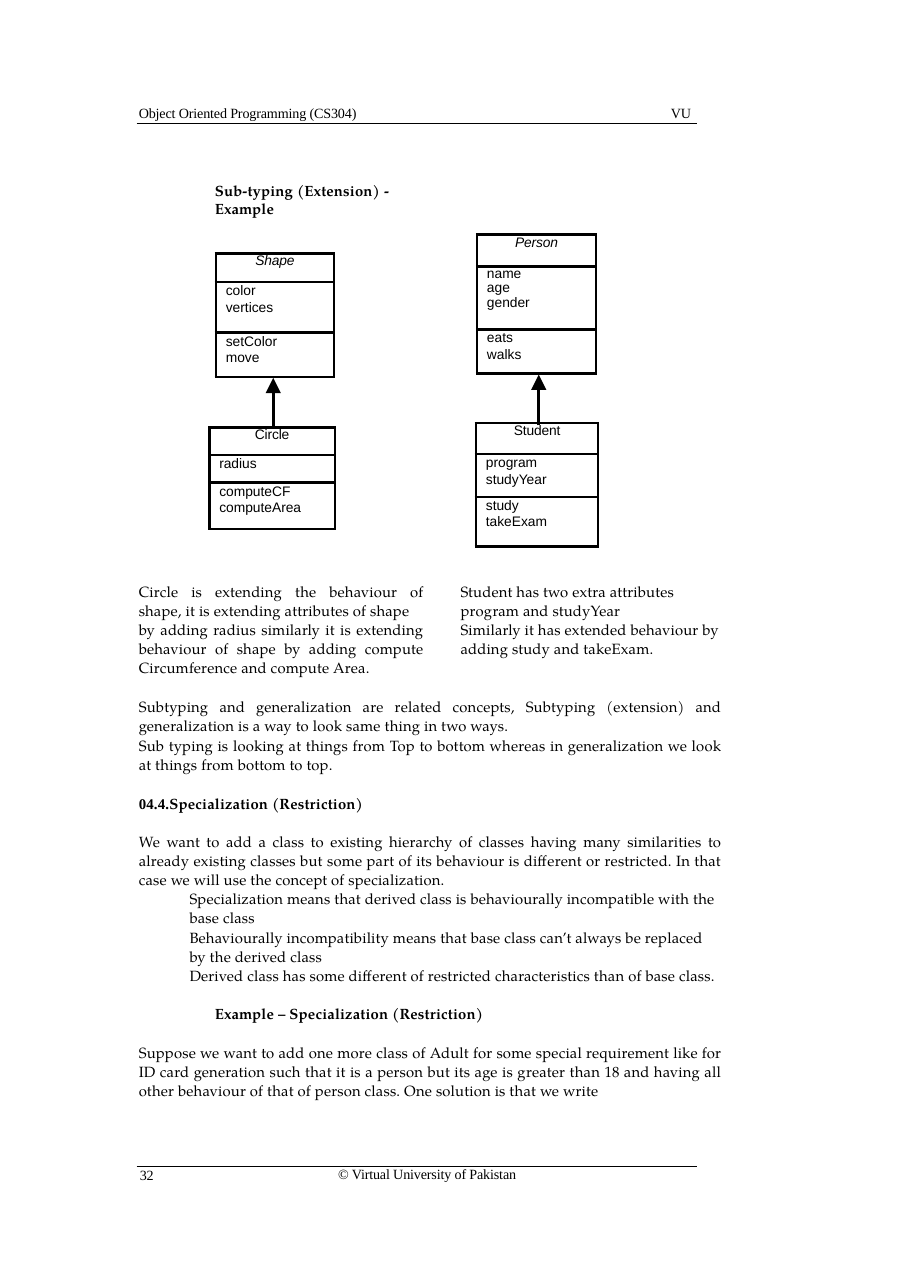
from dataclasses import dataclass

from lxml import etree
from pptx import Presentation
from pptx.dml.color import RGBColor
from pptx.enum.shapes import MSO_CONNECTOR
from pptx.enum.text import PP_ALIGN
from pptx.oxml.ns import qn
from pptx.util import Inches, Pt

STRAIGHT = MSO_CONNECTOR.STRAIGHT
LEFT, CENTER, JUSTIFY = PP_ALIGN.LEFT, PP_ALIGN.CENTER, PP_ALIGN.JUSTIFY
SERIF, BOOK, SANS = "Times New Roman", "TeX Gyre Pagella", "Arial"
BLACK = "000000"
RULE_WIDTH, BOX_WIDTH = 0.66, 1.88


@dataclass
class Para:
    """A paragraph of text with its typography."""
    text: str
    number: str = ""
    font: str = BOOK
    size: float = 9.7
    tracking: float = 0.1
    bold: bool = False
    italic: bool = False
    align: PP_ALIGN = JUSTIFY
    indent: float = 0.01
    before: float = 0
    leading: float = 1.07


def color(code):
    """Turn a hex string into a colour."""
    return RGBColor.from_string(code)


def add_run(paragraph, text, font, style):
    """Append one styled run."""
    run = paragraph.add_run()
    run.text = text
    run.font.name = font
    run.font.size = Pt(style.size)
    run.font.bold = style.bold
    run.font.italic = style.italic
    run.font.color.rgb = color(BLACK)
    run.font._element.set("spc", str(round(style.tracking * 100)))


def write(frame, paras):
    """Fill a text frame with paragraphs."""
    for index, para in enumerate(paras):
        paragraph = frame.add_paragraph() if index else frame.paragraphs[0]
        paragraph.alignment = para.align
        paragraph.line_spacing = para.leading
        paragraph.space_before = Pt(para.before)
        properties = paragraph._p.get_or_add_pPr()
        properties.set("marL", str(Inches(para.indent)))
        properties.set("indent", "0")
        if para.number:
            add_run(paragraph, para.number, SERIF, para)
        add_run(paragraph, para.text, para.font, para)


def add_text(slide, left, top, width, height, *paras):
    """Place a text box without margins."""
    box = slide.shapes.add_textbox(
        Inches(left), Inches(top), Inches(width), Inches(height))
    frame = box.text_frame
    frame.word_wrap = True
    frame.margin_left = frame.margin_right = 0
    frame.margin_top = frame.margin_bottom = 0
    write(frame, paras)


def add_margin_text(slide, left, top, width, text):
    """Place a header or footer text."""
    add_text(slide, left, top, width, 0.16,
             Para(text, font=SERIF, size=9.2, tracking=-0.1,
                  align=LEFT, leading=1.0))


def add_line(slide, start, end, width):
    """Draw a straight black line and return its line properties."""
    line = slide.shapes.add_connector(
        STRAIGHT, *(Inches(value) for value in (*start, *end)))
    line.line.color.rgb = color(BLACK)
    line.line.width = Pt(width)
    etree.SubElement(line._element.spPr, qn("a:effectLst"))
    return line.line._get_or_add_ln()


def add_inheritance(slide, x, child_top, parent_bottom):
    """Draw an arrow from a derived class up to its base class."""
    outline = add_line(slide, (x, child_top), (x, parent_bottom), BOX_WIDTH)
    etree.SubElement(outline, qn("a:tailEnd"), type="triangle", w="lg", len="lg")


def add_borders(cell):
    """Give a cell four black borders."""
    properties = cell._tc.get_or_add_tcPr()
    for position, side in enumerate(("lnL", "lnR", "lnT", "lnB")):
        border = etree.Element(qn(f"a:{side}"), w=str(Pt(BOX_WIDTH)))
        fill = etree.SubElement(border, qn("a:solidFill"))
        etree.SubElement(fill, qn("a:srgbClr"), val=BLACK)
        properties.insert(position, border)


def add_class(slide, left, top, width, heights, name, attributes, methods,
              abstract=False, leading=Pt(10.8)):
    """Draw a class box with name, attributes and methods."""
    table = slide.shapes.add_table(
        3, 1, Inches(left), Inches(top), Inches(width),
        Inches(sum(heights))).table
    table.first_row = table.horz_banding = False
    table.columns[0].width = Inches(width)
    title = [Para(name, font=SANS, size=9, tracking=-0.1, italic=abstract,
                  align=CENTER, indent=0, leading=1.0)]
    members = [
        [Para(member, font=SANS, size=9, tracking=0, align=LEFT, indent=0.09,
              leading=spacing) for member in group]
        for group, spacing in ((attributes, leading), (methods, Pt(10.8)))]
    for index, (height, paras) in enumerate(zip(heights, [title, *members])):
        table.rows[index].height = Inches(height)
        cell = table.cell(index, 0)
        cell.margin_left = cell.margin_right = 0
        cell.margin_top = cell.margin_bottom = 0
        cell.fill.background()
        add_borders(cell)
        write(cell.text_frame, paras)


def add_page_frame(slide):
    """Add the header and footer with their rules."""
    add_margin_text(slide, 1.25, 0.95, 2.4, "Object Oriented Programming (CS304)")
    add_margin_text(slide, 6.08, 0.95, 0.3, "VU")
    add_margin_text(slide, 3.06, 10.58, 2, "© Virtual University of Pakistan")
    add_margin_text(slide, 1.26, 10.59, 0.3, "32")
    for y in (1.12, 10.59):
        add_line(slide, (1.24, y), (6.33, y), RULE_WIDTH)


def add_diagrams(slide):
    """Add the two class hierarchies."""
    add_class(slide, 4.33, 2.13, 1.08, (0.29, 0.57, 0.4), "Person",
              ("name", "age", "gender"), ("eats", "walks"),
              abstract=True, leading=0.94)
    add_class(slide, 4.32, 3.84, 1.11, (0.28, 0.39, 0.45), "Student",
              ("program", "studyYear"), ("study", "takeExam"))
    add_class(slide, 1.96, 2.3, 1.07, (0.26, 0.46, 0.4), "Shape",
              ("color", "vertices"), ("setColor", "move"), abstract=True)
    add_class(slide, 1.9, 3.88, 1.14, (0.25, 0.25, 0.42), "Circle",
              ("radius",), ("computeCF", "computeArea"))
    add_inheritance(slide, 4.89, 3.86, 3.4)
    add_inheritance(slide, 2.48, 3.89, 3.43)


def add_body(slide):
    """Add the heading, the two captions and the running text."""
    add_text(slide, 1.94, 1.65, 2, 0.32,
             Para("Sub-typing (Extension) - Example", bold=True, align=LEFT,
                  leading=1.0))
    add_text(slide, 1.25, 5.28, 2.6, 0.88,
             Para("Circle is extending the behaviour of shape, it is extending "
                  "attributes of shape"),
             Para("by adding radius similarly it is extending behaviour of shape "
                  "by adding compute Circumference and compute Area."))
    add_text(slide, 4.17, 5.28, 2.39, 0.7,
             Para("Student has two extra attributes program and studyYear",
                  align=LEFT),
             Para("Similarly it has extended behaviour by adding study and "
                  "takeExam.", align=LEFT))
    points = [Para(text, align=LEFT, indent=0.47, before=0.1) for text in (
        "Specialization means that derived class is behaviourally incompatible "
        "with the base class",
        "Behaviourally incompatibility means that base class can’t always be "
        "replaced by the derived class",
        "Derived class has some different of restricted characteristics than "
        "of base class.")]
    add_text(
        slide, 1.25, 6.32, 5.31, 3.7,
        Para("Subtyping and generalization are related concepts, Subtyping "
             "(extension) and generalization is a way to look same thing in two "
             "ways."),
        Para("Sub typing is looking at things from Top to bottom whereas in "
             "generalization we look at things from bottom to top.",
             before=0.5, leading=Pt(12.5)),
        Para("Specialization (Restriction)", number="04.4.", bold=True,
             before=13.8, leading=1.0),
        Para("We want to add a class to existing hierarchy of classes having many "
             "similarities to already existing classes but some part of its "
             "behaviour is different or restricted. In that case we will use the "
             "concept of specialization.", before=12.7),
        *points,
        Para("Example – Specialization (Restriction)", bold=True, align=LEFT,
             indent=0.7, before=13.2, leading=1.0),
        Para("Suppose we want to add one more class of Adult for some special "
             "requirement like for ID card generation such that it is a person "
             "but its age is greater than 18 and having all other behaviour of "
             "that of person class. One solution is that we write", before=13))


def main():
    """Build the page and save it."""
    deck = Presentation()
    deck.slide_width, deck.slide_height = Inches(8.26), Inches(11.69)
    slide = deck.slides.add_slide(deck.slide_layouts[6])
    add_page_frame(slide)
    add_body(slide)
    add_diagrams(slide)
    deck.save("out.pptx")


if __name__ == "__main__":
    main()
